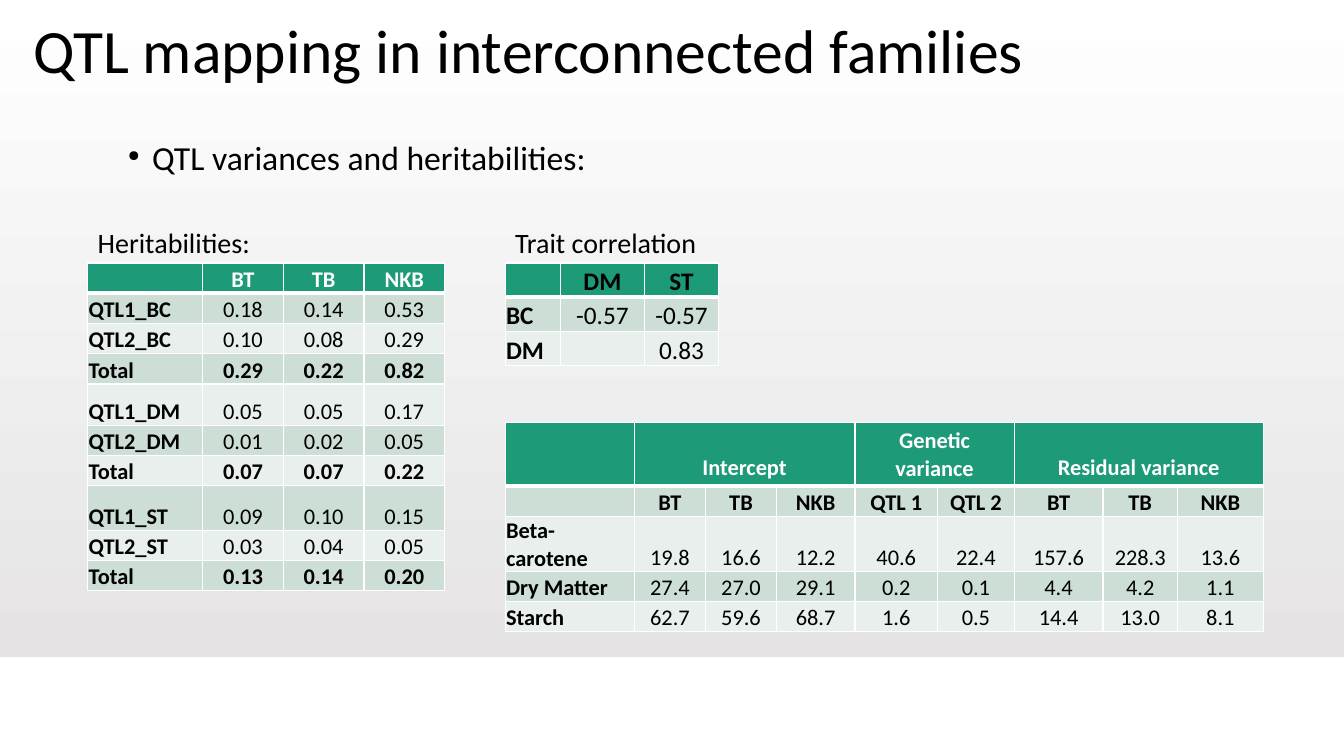
import pptx
import pptx.util
import pptx.dml.color
import pptx.enum.shapes
import pptx.enum.text
import pptx.oxml
import pptx.oxml.ns

Inches, Pt = pptx.util.Inches, pptx.util.Pt
ANCHOR = pptx.enum.text.MSO_ANCHOR
ALIGN = pptx.enum.text.PP_ALIGN

FONT = "Calibri"
COLORS = {"white": "FFFFFF", "black": "000000", "shade": "E1DFDF",
          "header": "1D9A78", "odd": "CDDED6", "even": "E8EFEC"}

# Content: text, (left, top, width, height), size
TITLE = ("QTL mapping in interconnected families", (0.23, -0.19, 12.87, 1.45), 44)
BULLET = ("QTL variances and heritabilities:", (1.17, 1.31, 6.51, 0.84), 24)
CAPTIONS = [
    ("Heritabilities:", (0.87, 2.19, 2.12, 0.84), 20),
    ("Trait correlation", (5.01, 2.19, 2.47, 0.84), 20),
]

HERITABILITIES = {
    "at": (0.87, 2.61), "size": 16, "header_color": "white",
    "columns": [1.14, 0.8, 0.8, 0.8],
    "heights": [0.3, 0.3, 0.3, 0.3, 0.41, 0.3, 0.3, 0.44, 0.3, 0.3],
    "bold_rows": [0, 3, 6, 9], "spans": [],
    "rows": [
        ["", "BT", "TB", "NKB"],
        ["QTL1_BC", "0.18", "0.14", "0.53"],
        ["QTL2_BC", "0.10", "0.08", "0.29"],
        ["Total", "0.29", "0.22", "0.82"],
        ["QTL1_DM", "0.05", "0.05", "0.17"],
        ["QTL2_DM", "0.01", "0.02", "0.05"],
        ["Total", "0.07", "0.07", "0.22"],
        ["QTL1_ST", "0.09", "0.10", "0.15"],
        ["QTL2_ST", "0.03", "0.04", "0.05"],
        ["Total", "0.13", "0.14", "0.20"],
    ],
}
VARIANCES = {
    "at": (5.01, 4.19), "size": 16, "header_color": "white",
    "columns": [1.28, 0.71, 0.7, 0.78, 0.82, 0.76, 0.88, 0.74, 0.85],
    "heights": [0.52, 0.3, 0.3, 0.3, 0.3],
    "bold_rows": [0, 1], "spans": [(1, 3), (4, 5), (6, 8)],
    "rows": [
        ["", "Intercept", "", "", "Genetic variance", "", "Residual variance", "", ""],
        ["", "BT", "TB", "NKB", "QTL 1", "QTL 2", "BT", "TB", "NKB"],
        ["Beta-carotene", "19.8", "16.6", "12.2", "40.6", "22.4", "157.6", "228.3", "13.6"],
        ["Dry Matter", "27.4", "27.0", "29.1", "0.2", "0.1", "4.4", "4.2", "1.1"],
        ["Starch", "62.7", "59.6", "68.7", "1.6", "0.5", "14.4", "13.0", "8.1"],
    ],
}
CORRELATION = {
    "at": (5.01, 2.61), "size": 18, "header_color": "black",
    "columns": [0.55, 0.83, 0.74], "heights": [0.34, 0.34, 0.34],
    "bold_rows": [0], "spans": [],
    "rows": [["", "DM", "ST"], ["BC", "-0.57", "-0.57"], ["DM", "", "0.83"]],
}


def rgb(name):
    return pptx.dml.color.RGBColor.from_string(COLORS[name])


def element(xml):
    tag, rest = xml.split(" ", 1)
    return pptx.oxml.parse_xml(f"{tag} {pptx.oxml.ns.nsdecls('a')} {rest}")


def add_run(paragraph, text, size, color="black", bold=False):
    run = paragraph.add_run()
    run.text = text
    run.font.name, run.font.size, run.font.bold = FONT, Pt(size), bold
    run.font.color.rgb = rgb(color)


def add_text(slide, text, box, size, anchor=ANCHOR.TOP):
    shape = slide.shapes.add_textbox(*map(Inches, box))
    frame = shape.text_frame
    frame.word_wrap = True
    frame.vertical_anchor = anchor
    paragraph = frame.paragraphs[0]
    add_run(paragraph, text, size)
    return paragraph


def set_borders(cell, top, bottom):
    properties = cell._tc.get_or_add_tcPr()
    for index, (side, width) in enumerate((("L", 1), ("R", 1), ("T", top), ("B", bottom))):
        properties.insert(index, element(
            f'<a:ln{side} w="{Pt(width)}"><a:solidFill>'
            f'<a:srgbClr val="{COLORS["white"]}"/></a:solidFill></a:ln{side}>'))


def add_data_table(slide, data):
    columns, heights, rows = data["columns"], data["heights"], data["rows"]
    box = (*data["at"], sum(columns), sum(heights))
    table = slide.shapes.add_table(len(rows), len(columns), *map(Inches, box)).table
    for column, width in zip(table.columns, columns):
        column.width = Inches(width)
    for row, height in zip(table.rows, heights):
        row.height = Inches(height)
    for first, last in data["spans"]:
        table.cell(0, first).merge(table.cell(0, last))

    for r, values in enumerate(rows):
        fill = "header" if r == 0 else "odd" if r % 2 else "even"
        color = data["header_color"] if r == 0 else "black"
        for c, value in enumerate(values):
            cell = table.cell(r, c)
            cell.fill.solid()
            cell.fill.fore_color.rgb = rgb(fill)
            set_borders(cell, 3 if r == 1 else 1, 3 if r == 0 else 1)
            cell.vertical_anchor = ANCHOR.BOTTOM
            if not (r == 0 and data["spans"]):
                cell.margin_left = cell.margin_right = cell.margin_top = Inches(0.01)
                cell.margin_bottom = 0
            paragraph = cell.text_frame.paragraphs[0]
            paragraph.alignment = ALIGN.LEFT if c == 0 else ALIGN.CENTER
            if value:
                add_run(paragraph, value, data["size"], color, c == 0 or r in data["bold_rows"])
            else:
                paragraph._p.append(element(f'<a:endParaRPr sz="{data["size"] * 100}"/>'))


def main():
    presentation = pptx.Presentation()
    presentation.slide_width, presentation.slide_height = Inches(13.33), Inches(7.5)
    slide = presentation.slides.add_slide(presentation.slide_layouts[6])

    # Background gradient, light at the top
    background = slide.background.fill
    background.gradient()
    background.gradient_angle = 270
    for stop, name, position in zip(background.gradient_stops, ("white", "shade"), (0, 1)):
        stop.color.rgb = rgb(name)
        stop.position = position

    # White footer band
    band = slide.shapes.add_shape(pptx.enum.shapes.MSO_SHAPE.RECTANGLE,
                                  *map(Inches, (0, 6.53, 13.33, 0.97)))
    band.shadow.inherit = False
    band.fill.solid()
    band.fill.fore_color.rgb = band.line.color.rgb = rgb("white")
    band.line.width = Pt(1)

    # Title and bullet line
    add_text(slide, *TITLE, anchor=ANCHOR.MIDDLE).line_spacing = 0.9
    properties = add_text(slide, *BULLET)._p.get_or_add_pPr()
    properties.set("marL", str(Inches(0.24)))
    properties.set("indent", str(-Inches(0.24)))
    for xml in (f'<a:buClr ><a:srgbClr val="{COLORS["black"]}"/></a:buClr>',
                '<a:buSzPct val="45000"/>', '<a:buChar char="●"/>'):
        properties.append(element(xml))

    # Tables and their captions
    for data in (HERITABILITIES, VARIANCES, CORRELATION):
        add_data_table(slide, data)
    for caption in CAPTIONS:
        add_text(slide, *caption)

    presentation.save("out.pptx")


if __name__ == "__main__":
    main()
